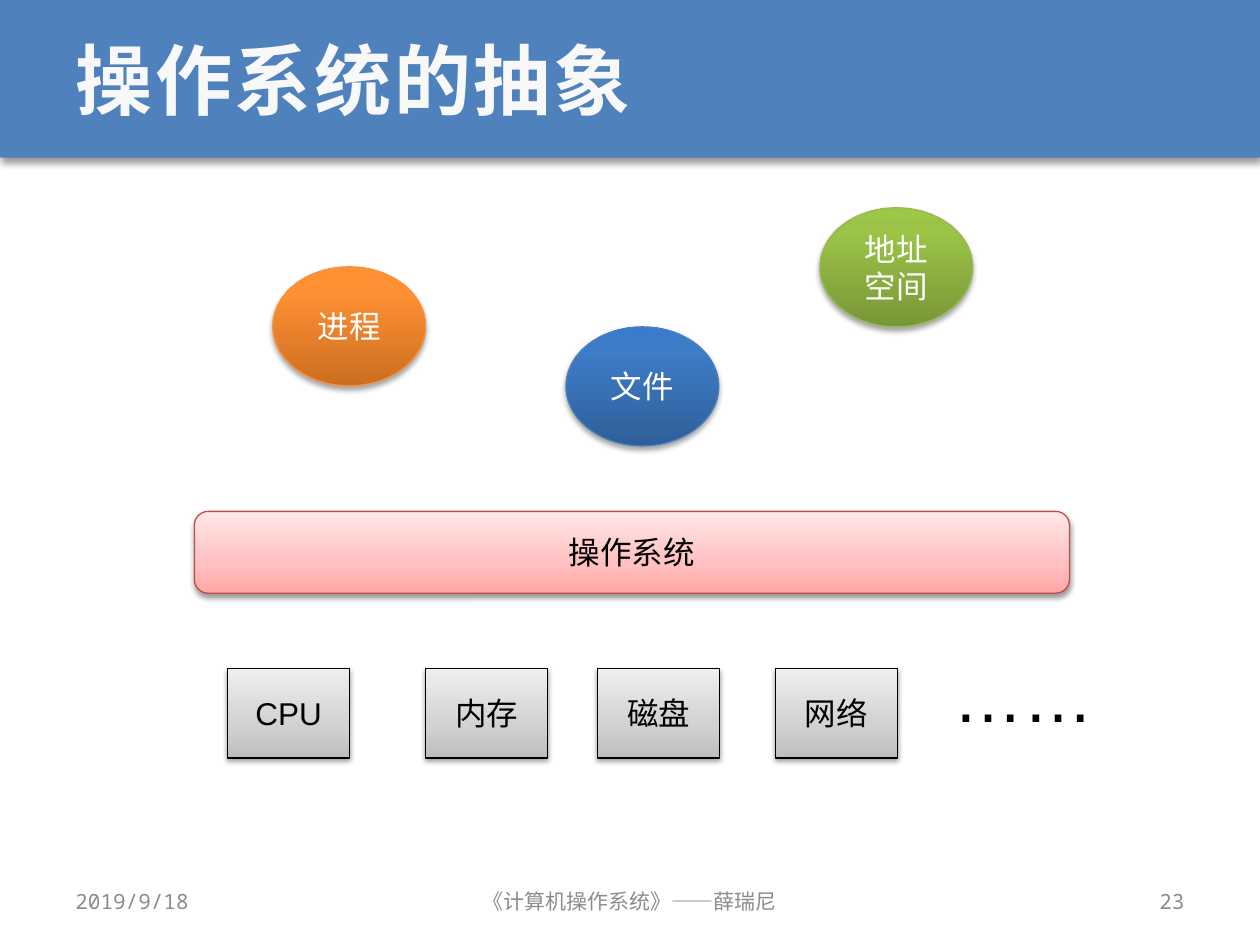
from copy import deepcopy
from dataclasses import dataclass

from lxml.etree import SubElement
from pptx import Presentation
from pptx.dml.color import RGBColor
from pptx.enum.shapes import MSO_SHAPE
from pptx.enum.text import MSO_ANCHOR, MSO_AUTO_SIZE, PP_ALIGN
from pptx.oxml.ns import qn
from pptx.util import Cm, Pt


@dataclass(frozen=True)
class Palette:
    """Gradient stops, outline, text colour and shadow of one kind of node."""
    stops: tuple
    line: str
    text: str
    shadow: tuple


@dataclass(frozen=True)
class Theme:
    """Colours, fonts and type sizes of the slide."""
    band: str = "4F81BD"
    band_shadow: tuple = (40, 4, 3)
    title: str = "F8F8F8"
    footer: str = "8C8C8C"
    black: str = "000000"
    title_font: str = "Noto Sans Mono"
    body_font: str = "Arial"
    title_size: int = 44
    dots_size: int = 40
    node_size: int = 18
    footer_size: int = 12


THEME = Theme()
STRONG_SHADOW = (35, 3.1, 1.8)
SOFT_SHADOW = (38, 3.1, 1.6)
ORANGE = Palette(((0, "CC6E20"), (0.8, "FF9034"), (1, "FF9136")), "F69240", "FFFFFF", STRONG_SHADOW)
BLUE = Palette(((0, "2F5F99"), (0.8, "3D7CC7"), (1, "3A7CCB")), "4B7EBC", "FFFFFF", STRONG_SHADOW)
GREEN = Palette(((0, "779737"), (0.8, "9BC348"), (1, "9DC746")), "98B955", "FFFFFF", STRONG_SHADOW)
RED = Palette(((0, "FFA6A5"), (0.35, "FFC0BF"), (1, "FFE7E7")), "BF4C48", "000000", SOFT_SHADOW)
GREY = Palette(((0, "BDBDBD"), (0.35, "D1D1D1"), (1, "EEEEEE")), "000000", "000000", SOFT_SHADOW)


def colour(value):
    """Return an RGB colour from its hexadecimal text."""
    return RGBColor.from_string(value)


def write_text(shape, text, size, font_name, text_colour, align=PP_ALIGN.LEFT):
    """Write one middle-anchored run into a shape and return the run."""
    shape.text_frame.vertical_anchor = MSO_ANCHOR.MIDDLE
    paragraph = shape.text_frame.paragraphs[0]
    paragraph.alignment = align
    run = paragraph.add_run()
    run.text = text
    run.font.size = Pt(size)
    run.font.name = font_name
    run.font.color.rgb = colour(text_colour)
    return run


def set_shadow(shape, opacity, blur, distance):
    """Give a shape a soft black shadow that falls straight down."""
    shape.shadow.inherit = False
    effects = shape._element.spPr.find(qn("a:effectLst"))
    shadow = SubElement(effects, qn("a:outerShdw"), blurRad=str(Pt(blur)),
                        dist=str(Pt(distance)), dir="5400000", algn="ctr", rotWithShape="0")
    black = SubElement(shadow, qn("a:srgbClr"), val=THEME.black)
    SubElement(black, qn("a:alpha"), val=str(opacity * 1000))


def set_gradient(shape, stops):
    """Fill a shape with a gradient of three stops running upwards."""
    shape.fill.gradient()
    shape.fill.gradient_angle = 90
    stop_list = shape._element.spPr.find(".//" + qn("a:gsLst"))
    stop_list.append(deepcopy(stop_list[-1]))
    for stop, (position, value) in zip(shape.fill.gradient_stops, stops):
        stop.position = position
        stop.color.rgb = colour(value)


def add_node(slide, kind, text, left, top, width, height, palette):
    """Add a labelled shape with gradient, outline and shadow."""
    shape = slide.shapes.add_shape(kind, Cm(left), Cm(top), Cm(width), Cm(height))
    set_gradient(shape, palette.stops)
    shape.line.color.rgb = colour(palette.line)
    shape.line.width = Pt(0.75)
    set_shadow(shape, *palette.shadow)
    shape.text_frame.word_wrap = True
    write_text(shape, text, THEME.node_size, THEME.body_font, palette.text, PP_ALIGN.CENTER)


def add_title(slide, text, width, height):
    """Place the title on a coloured band across the top."""
    band = slide.shapes.add_shape(MSO_SHAPE.RECTANGLE, 0, 0, width, height)
    band.fill.solid()
    band.fill.fore_color.rgb = colour(THEME.band)
    band.line.fill.background()
    set_shadow(band, *THEME.band_shadow)
    title = slide.shapes.title
    title._element.addprevious(band._element)
    title.left, title.top, title.width, title.height = Cm(1.27), 0, Cm(22.86), height
    run = write_text(title, text, THEME.title_size, THEME.title_font, THEME.title)
    run.font.bold = True
    run._r.get_or_add_rPr().set("spc", "150")


def add_footer(slide, text, left, width, align):
    """Add one text box of the footer line."""
    box = slide.shapes.add_textbox(Cm(left), Cm(17.65), Cm(width), Cm(1.02))
    box.text_frame.word_wrap = True
    write_text(box, text, THEME.footer_size, THEME.title_font, THEME.footer, align)


def add_dots(slide):
    """Add the ellipsis that continues the hardware row."""
    box = slide.shapes.add_textbox(Cm(18.97), Cm(13.03), Cm(3.35), Cm(1.96))
    box.text_frame.word_wrap = False
    box.text_frame.auto_size = MSO_AUTO_SIZE.SHAPE_TO_FIT_TEXT
    write_text(box, "……", THEME.dots_size, THEME.body_font, THEME.black)
    box.text_frame.vertical_anchor = MSO_ANCHOR.TOP


def main():
    """Build and save the slide."""
    presentation = Presentation()
    presentation.slide_width, presentation.slide_height = Cm(25.4), Cm(19.05)
    slide = presentation.slides.add_slide(presentation.slide_layouts[5])
    add_title(slide, "操作系统的抽象", presentation.slide_width, Cm(3.18))
    for text, left, width, align in (
        ("2019/9/18", 1.27, 5.92, PP_ALIGN.LEFT),
        ("《计算机操作系统》——薛瑞尼", 8.68, 8.04, PP_ALIGN.CENTER),
        ("23", 18.2, 5.93, PP_ALIGN.RIGHT),
    ):
        add_footer(slide, text, left, width, align)
    for text, left, top, palette in (
        ("进程", 5.5, 5.38, ORANGE),
        ("文件", 11.41, 6.59, BLUE),
        ("地址空间", 16.53, 4.19, GREEN),
    ):
        add_node(slide, MSO_SHAPE.OVAL, text, left, top, 3.08, 2.4, palette)
    add_node(slide, MSO_SHAPE.ROUNDED_RECTANGLE, "操作系统", 3.92, 10.31, 17.64, 1.65, RED)
    for text, left in (("CPU", 4.59), ("内存", 8.58), ("磁盘", 12.05), ("网络", 15.63)):
        add_node(slide, MSO_SHAPE.RECTANGLE, text, left, 13.48, 2.46, 1.8, GREY)
    add_dots(slide)
    presentation.save("out.pptx")


if __name__ == "__main__":
    main()
